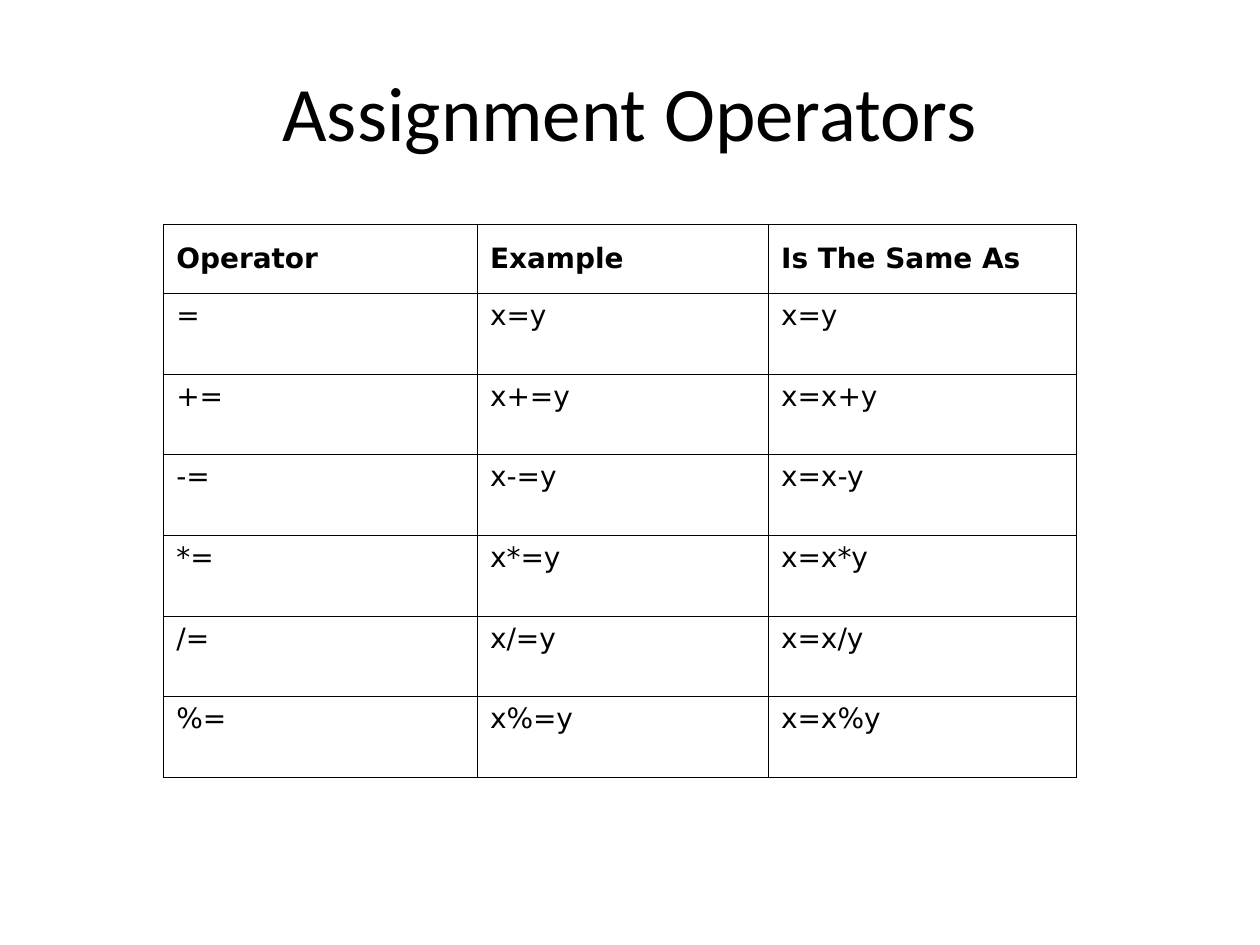
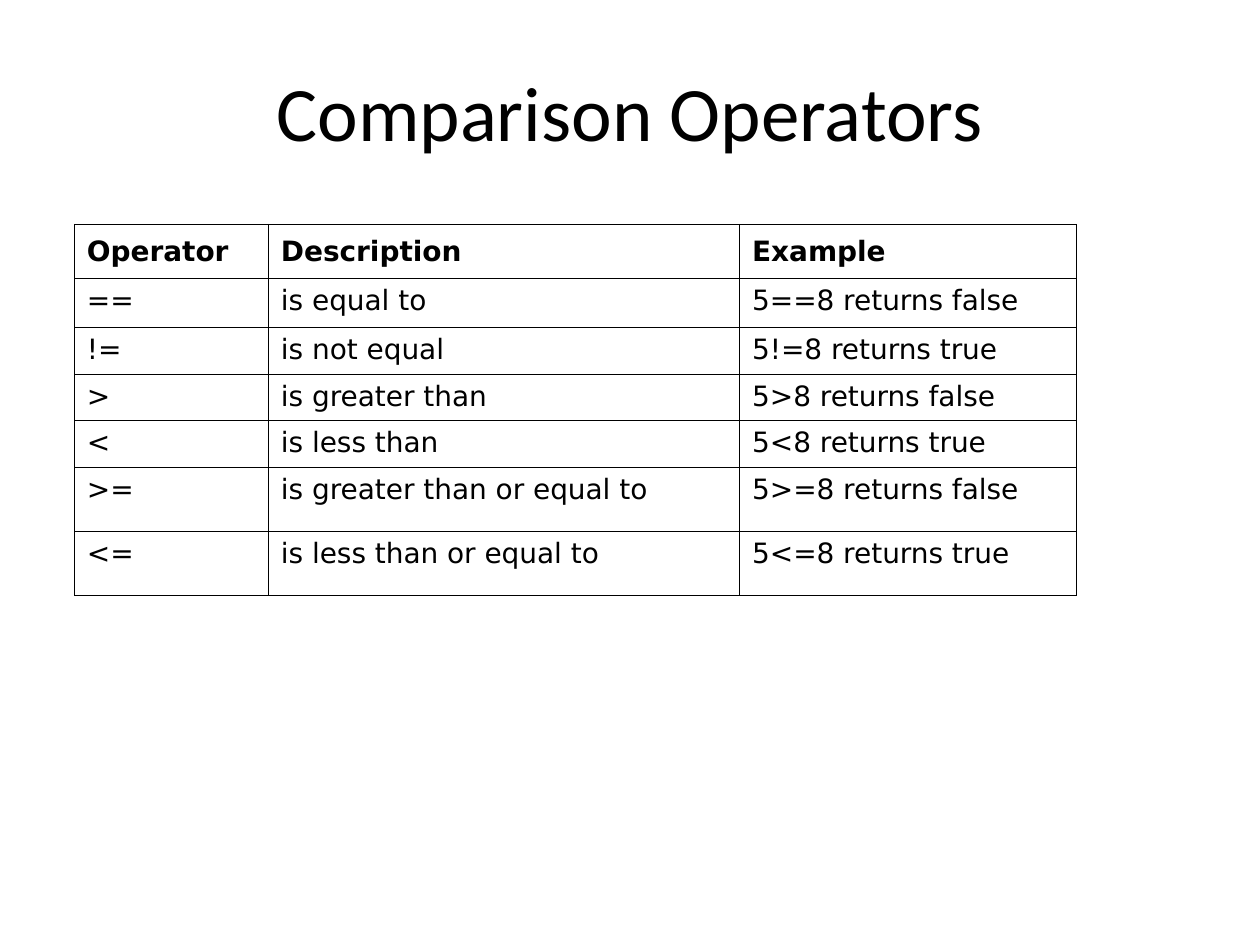
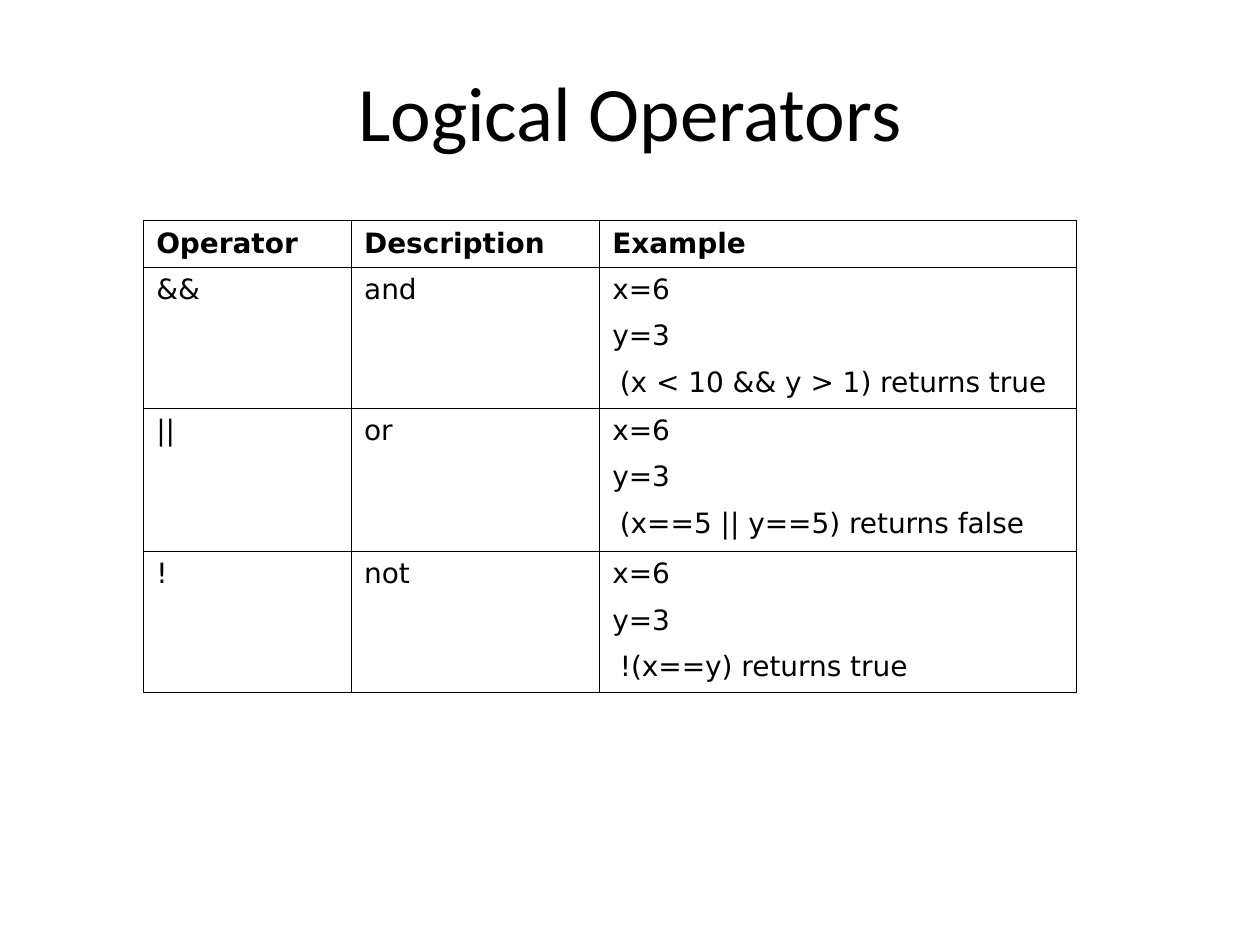
from lxml import etree
from pptx import Presentation
from pptx.dml.color import RGBColor
from pptx.enum.text import MSO_ANCHOR, MSO_AUTO_SIZE, PP_ALIGN
from pptx.oxml.ns import qn
from pptx.util import Pt

PX = 9144  # EMU in one px, 100 px to the inch
BLACK = RGBColor(0x00, 0x00, 0x00)
WHITE = RGBColor(0xFF, 0xFF, 0xFF)
CENTER = PP_ALIGN.CENTER
MIDDLE, TOP = MSO_ANCHOR.MIDDLE, MSO_ANCHOR.TOP
NO_AUTOFIT = MSO_AUTO_SIZE.NONE
TITLE_ONLY = 5

TITLE_FONT, TITLE_SIZE = "Calibri", Pt(44)
TABLE_FONT, TABLE_SIZE = "DejaVu Sans", Pt(16)
TITLE_BOX = (33, 25, 934, 125)
HANGING = 38
CONDITION_SHIFT = 6
BORDER_WIDTH = Pt(0.45)


class Deck:
    def __init__(self):
        self.prs = Presentation()
        self.prs.slide_width, self.prs.slide_height = 1000 * PX, 750 * PX
        self.slide = None

    def add_run(self, paragraph, text, font, size, bold=False):
        run = paragraph.add_run()
        run.text = text
        run.font.name, run.font.size, run.font.bold = font, size, bold
        run.font.color.rgb = BLACK

    def add_titled_slide(self, text):
        self.slide = self.prs.slides.add_slide(self.prs.slide_layouts[TITLE_ONLY])
        title = self.slide.shapes.title
        title.left, title.top, title.width, title.height = (n * PX for n in TITLE_BOX)
        frame = title.text_frame
        frame.auto_size, frame.vertical_anchor = NO_AUTOFIT, MIDDLE
        paragraph = frame.paragraphs[0]
        paragraph.alignment = CENTER
        self.add_run(paragraph, text, TITLE_FONT, TITLE_SIZE)

    def set_borders(self, cell, drawn):
        """Draw the sides named in drawn (of L, R, T, B) and clear the others."""
        properties = cell._tc.get_or_add_tcPr()
        for side in "LRTB":
            line = etree.SubElement(properties, qn(f"a:ln{side}"), w=str(BORDER_WIDTH))
            if side in drawn:
                fill = etree.SubElement(line, qn("a:solidFill"))
                etree.SubElement(fill, qn("a:srgbClr"), val=str(BLACK))
            else:
                etree.SubElement(line, qn("a:noFill"))

    def fill_cell(self, cell, text, drawn, header=False, shift=0):
        self.set_borders(cell, drawn)
        cell.fill.solid()
        cell.fill.fore_color.rgb = WHITE
        cell.vertical_anchor = MIDDLE if header else TOP
        paragraph = cell.text_frame.paragraphs[0]
        indents = paragraph._p.get_or_add_pPr()
        indents.set("marL", str(HANGING * PX))
        indents.set("indent", str((shift - HANGING) * PX))
        if text:
            self.add_run(paragraph, text, TABLE_FONT, TABLE_SIZE, header)

    def add_operator_table(self, left, top, widths, heights, entries):
        """Each entry is (operator, meaning, *lines), with one table row per line.

        The first entry is the header; the last of several lines is a condition.
        """
        table = self.slide.shapes.add_table(
            len(heights), len(widths), left * PX, top * PX,
            sum(widths) * PX, sum(heights) * PX).table
        table.first_row = table.horz_banding = False
        for column, width in zip(table.columns, widths):
            column.width = width * PX
        for row, height in zip(table.rows, heights):
            row.height = height * PX

        first = 0
        for operator, meaning, *lines in entries:
            last = first + len(lines) - 1
            header = first == 0
            if last > first:
                for col in (0, 1):
                    table.cell(first, col).merge(table.cell(last, col))
            for row, line in enumerate(lines, first):
                starts, ends = row == first, row == last
                labels = (operator, meaning) if starts else ("", "")
                top_side = "T" if starts else ""
                for col, label in enumerate(labels):
                    bottom_side = "B" if starts or ends else ""
                    self.fill_cell(table.cell(row, col), label,
                                   "LR" + top_side + bottom_side, header)
                shift = CONDITION_SHIFT if ends and not starts else 0
                self.fill_cell(table.cell(row, 2), line,
                               "LR" + top_side + ("B" if ends else ""), header, shift)
            first = last + 1


ASSIGNMENT = [
    ("Operator", "Example", "Is The Same As"),
    ("=", "x=y", "x=y"),
    *((f"{sign}=", f"x{sign}=y", f"x=x{sign}y") for sign in "+-*/%"),
]
COMPARISON = [
    ("Operator", "Description", "Example"),
    ("==", "is equal to", "5==8 returns false"),
    ("!=", "is not equal", "5!=8 returns true"),
    (">", "is greater than", "5>8 returns false"),
    ("<", "is less than", "5<8 returns true"),
    (">=", "is greater than or equal to", "5>=8 returns false"),
    ("<=", "is less than or equal to", "5<=8 returns true"),
]
LOGICAL = [
    ("Operator", "Description", "Example"),
    ("&&", "and", "x=6", "y=3", "(x < 10 && y > 1) returns true"),
    ("||", "or", "x=6", "y=3", "(x==5 || y==5) returns false"),
    ("!", "not", "x=6", "y=3", "!(x==y) returns true"),
]


def main():
    deck = Deck()
    deck.add_titled_slide("Assignment Operators")
    deck.add_operator_table(130, 178, (249, 231, 244), [55] + [64] * 6, ASSIGNMENT)

    deck.add_titled_slide("Comparison Operators")
    deck.add_operator_table(59, 178, (154, 374, 267),
                            (43, 39, 37, 37, 37, 51, 51), COMPARISON)

    deck.add_titled_slide("Logical Operators")
    deck.add_operator_table(114, 175, (165, 197, 378),
                            (37, 37, 37, 38, 37, 37, 40, 37, 37, 38), LOGICAL)
    deck.prs.save("out.pptx")


if __name__ == "__main__":
    main()
